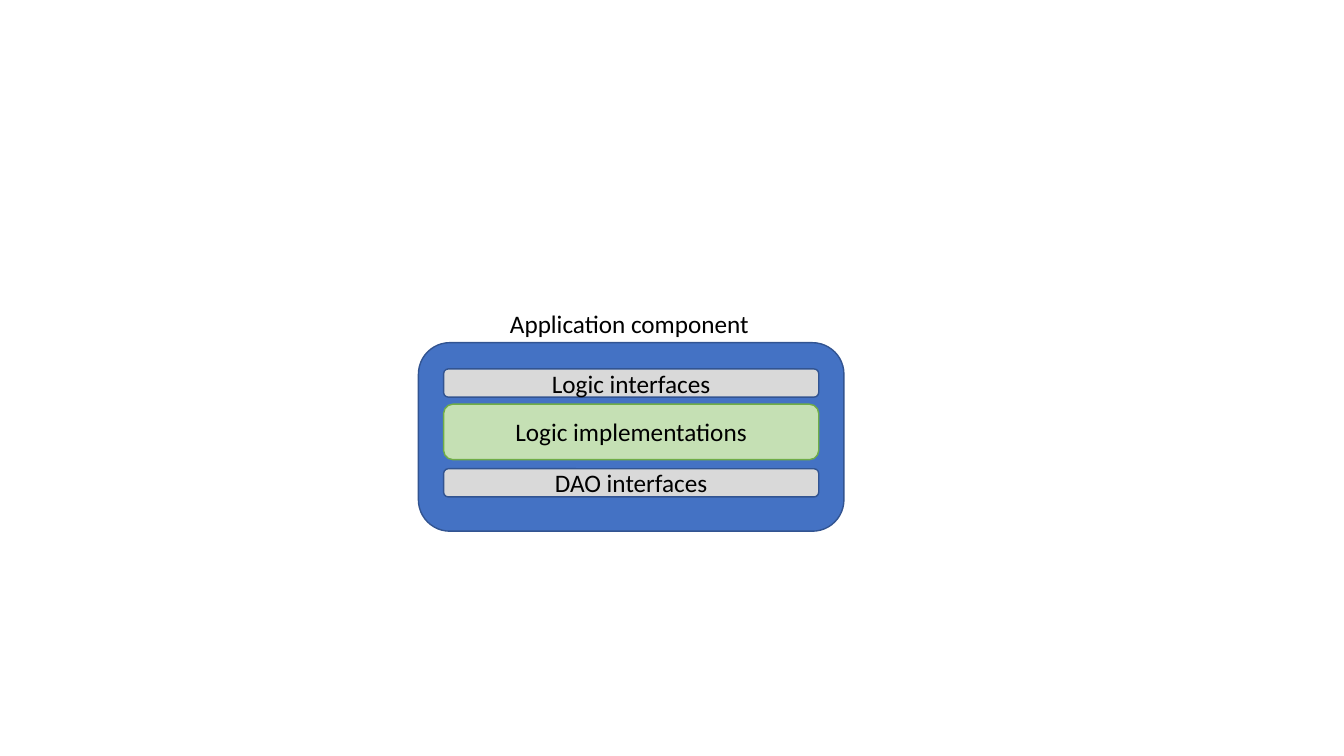
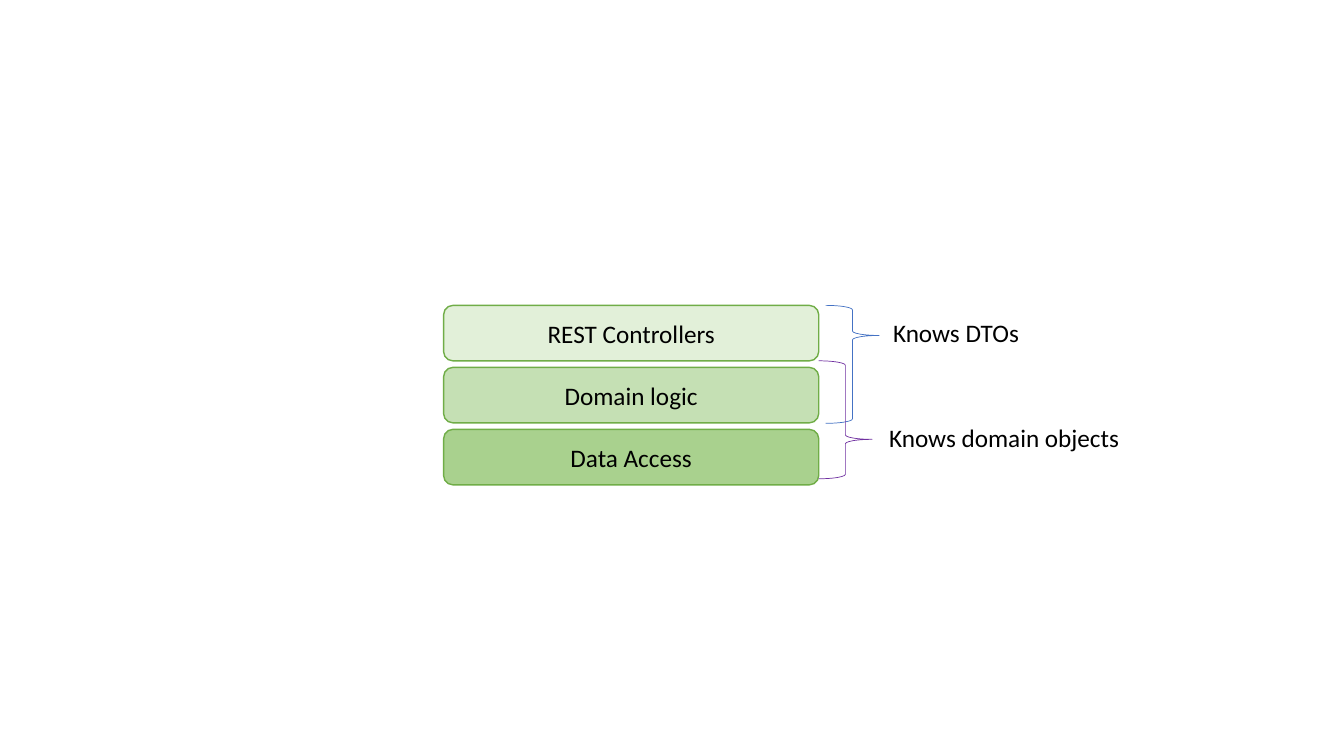
from pptx import Presentation
from pptx.dml.color import RGBColor
from pptx.enum.shapes import MSO_SHAPE
from pptx.enum.text import MSO_ANCHOR, MSO_AUTO_SIZE, PP_ALIGN
from pptx.util import Inches, Pt

ROUND, BRACE = MSO_SHAPE.ROUNDED_RECTANGLE, MSO_SHAPE.RIGHT_BRACE
CENTER, LEFT = PP_ALIGN.CENTER, PP_ALIGN.LEFT
MIDDLE, FIT = MSO_ANCHOR.MIDDLE, MSO_AUTO_SIZE.SHAPE_TO_FIT_TEXT

# Shared colours, type and column
BLUE, NAVY, GREY, PURPLE = "4472C4", "325491", "D9D9D9", "7030A0"
GREEN, PALE, LIGHT, MEDIUM = "70AD47", "E2F0D9", "C5E0B4", "A9D18E"
FONT = {"name": "Calibri", "size": Pt(18)}
COL_X, COL_W = 4.4, 3.72
BAR_H, THIN_H, LABEL_H = 0.55, 0.28, 0.4
BRACE_W, BRACE_H = 0.53, 1.17

prs = Presentation()
prs.slide_width, prs.slide_height = Inches(13.33), Inches(7.5)
blank = prs.slide_layouts[6]


def write(sp, text, align):
    p = sp.text_frame.paragraphs[0]
    p.alignment = align
    r = p.add_run()
    r.text = text
    for name, value in FONT.items():
        setattr(r.font, name, value)
    r.font.color.rgb = RGBColor.from_string("000000")


def draw(s, kind, box, line, fill=None, weight=1):
    sp = s.shapes.add_shape(kind, *map(Inches, box))
    sp.shadow.inherit = False
    sp.line.color.rgb = RGBColor.from_string(line)
    sp.line.width = Pt(weight)
    if fill:
        sp.fill.solid()
        sp.fill.fore_color.rgb = RGBColor.from_string(fill)
    else:
        sp.fill.background()
    return sp


# Container behind the component's layers
component = prs.slides.add_slide(blank)
layers = prs.slides.add_slide(blank)
draw(component, ROUND, (4.15, 3.4, 4.22, 1.87), NAVY, BLUE)

# Bars of both slides, in one column
bars = [
    (component, "Logic interfaces", 3.66, THIN_H, NAVY, GREY),
    (component, "Logic implementations", 4.01, BAR_H, GREEN, LIGHT),
    (component, "DAO interfaces", 4.65, THIN_H, NAVY, GREY),
]
stack = [("REST Controllers", PALE), ("Domain logic", LIGHT), ("Data Access", MEDIUM)]
for row, (text, fill) in enumerate(stack):
    bars.append((layers, text, 3.03 + row * 0.615, BAR_H, GREEN, fill))
for s, text, y, h, line, fill in bars:
    sp = draw(s, ROUND, (COL_X, y, COL_W, h), line, fill)
    sp.text_frame.vertical_anchor = MIDDLE
    write(sp, text, CENTER)

# Braces spanning two layers each
for x, y, line, tip in [(8.19, 3.03, BLUE, 0.255), (8.12, 3.58, PURPLE, 0.666)]:
    sp = draw(layers, BRACE, (x, y, BRACE_W, BRACE_H), line, weight=0.5)
    sp.adjustments[0], sp.adjustments[1] = 0.083, tip

# Free labels
for s, text, x, y, w in [
    (component, "Application component", 4.96, 3.01, 2.6),
    (layers, "Knows DTOs", 8.76, 3.1, 1.46),
    (layers, "Knows domain objects", 8.72, 4.14, 2.51),
]:
    sp = s.shapes.add_textbox(*map(Inches, (x, y, w, LABEL_H)))
    tf = sp.text_frame
    tf.word_wrap, tf.auto_size = False, FIT
    write(sp, text, LEFT)

prs.save("out.pptx")
